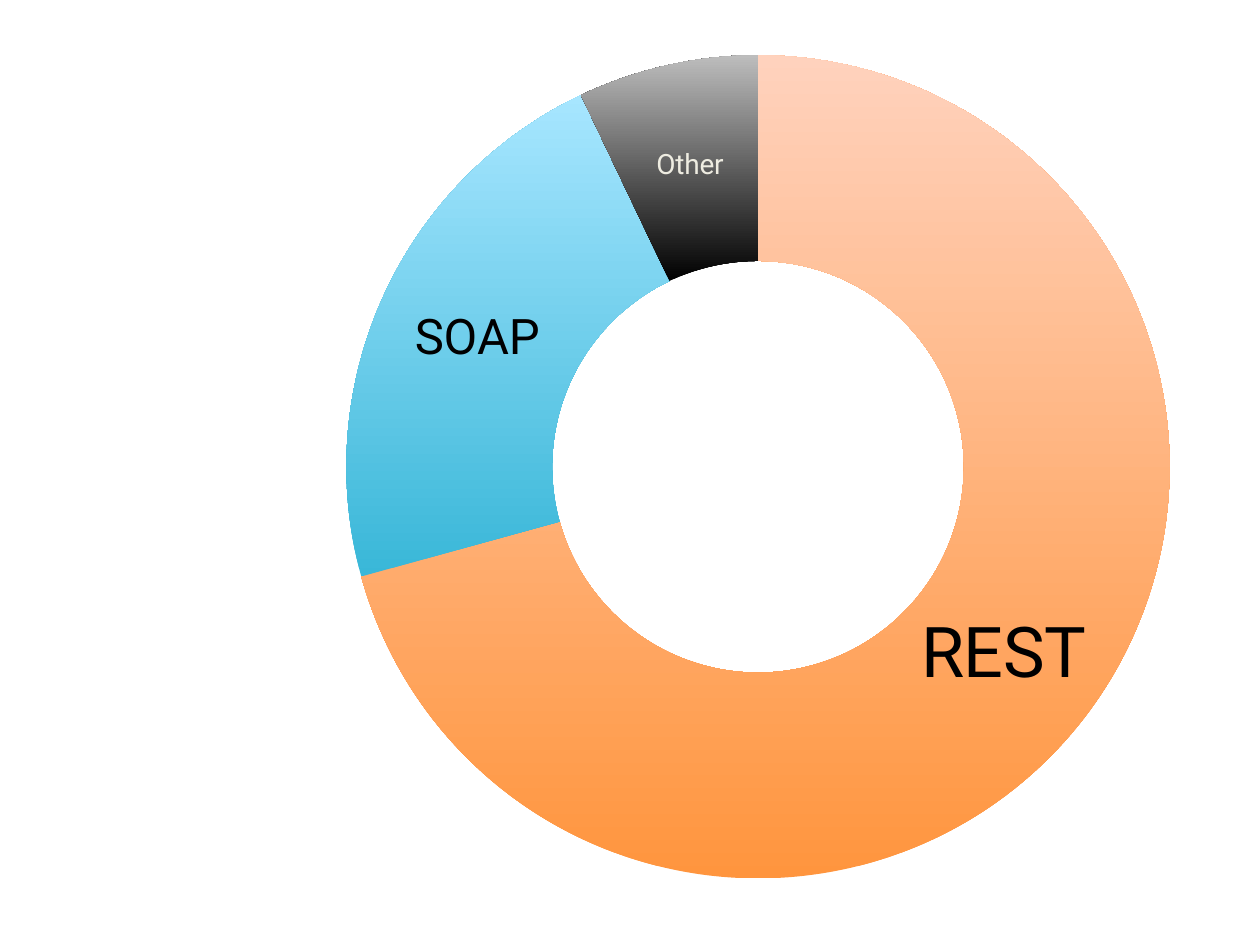
from dataclasses import dataclass

from pptx import Presentation
from pptx.chart.data import CategoryChartData
from pptx.dml.color import RGBColor
from pptx.enum.chart import XL_CHART_TYPE
from pptx.util import Inches, Pt


@dataclass(frozen=True)
class Theme:
    font: str = "Roboto"
    black: str = "000000"
    cream: str = "EEECE1"
    orange: tuple = ("FF953E", "FFD2BD")
    blue: tuple = ("39B7D8", "A7E6FF")
    gray: tuple = ("000000", "BDBDBD")
    base_size: int = 18
    large: int = 40
    medium: int = 28
    small: int = 16


theme = Theme()

# Category, share, gradient from bottom to top, label size, label colour
slices = [
    ("REST", 70, theme.orange, theme.large, theme.black),
    ("SOAP", 22, theme.blue, theme.medium, theme.black),
    ("Other", 7, theme.gray, theme.small, theme.cream),
]

presentation = Presentation()
presentation.slide_width = Inches(10)
presentation.slide_height = Inches(7.5)
slide = presentation.slides.add_slide(presentation.slide_layouts[6])

chart_data = CategoryChartData()
chart_data.categories = [name for name, *_ in slices]
chart_data.add_series("Series 1", [share for _, share, *_ in slices])
chart = slide.shapes.add_chart(
    XL_CHART_TYPE.DOUGHNUT,
    Inches(2.51), Inches(0.3), Inches(6.99), Inches(6.81),
    chart_data,
).chart
chart.has_title = False
chart.has_legend = False
chart.font.name = theme.font
chart.font.size = Pt(theme.base_size)
chart.font.color.rgb = RGBColor.from_string(theme.black)

plot = chart.plots[0]
plot.vary_by_categories = True
series = plot.series[0]
series.data_labels.show_value = False
series.data_labels.show_category_name = True
series.data_labels.font.size = Pt(theme.small)

for index, (_, _, gradient, size, label_color) in enumerate(slices):
    point = series.points[index]
    point.format.line.fill.background()
    fill = point.format.fill
    fill.gradient()
    fill.gradient_angle = 90
    for stop, color in zip(fill.gradient_stops, gradient):
        stop.color.rgb = RGBColor.from_string(color)

    font = point.data_label.font
    font.name = theme.font
    font.size = Pt(size)
    font.color.rgb = RGBColor.from_string(label_color)

# Point labels show the category name instead of the value
for tag, shown in (("showVal", "0"), ("showCatName", "1"), ("showPercent", "0")):
    for element in chart.element.xpath(f".//c:dLbl/c:{tag}") if hasattr(chart, "element") else chart._chartSpace.xpath(f".//c:dLbl/c:{tag}"):
        element.set("val", shown)

presentation.save("out.pptx")
